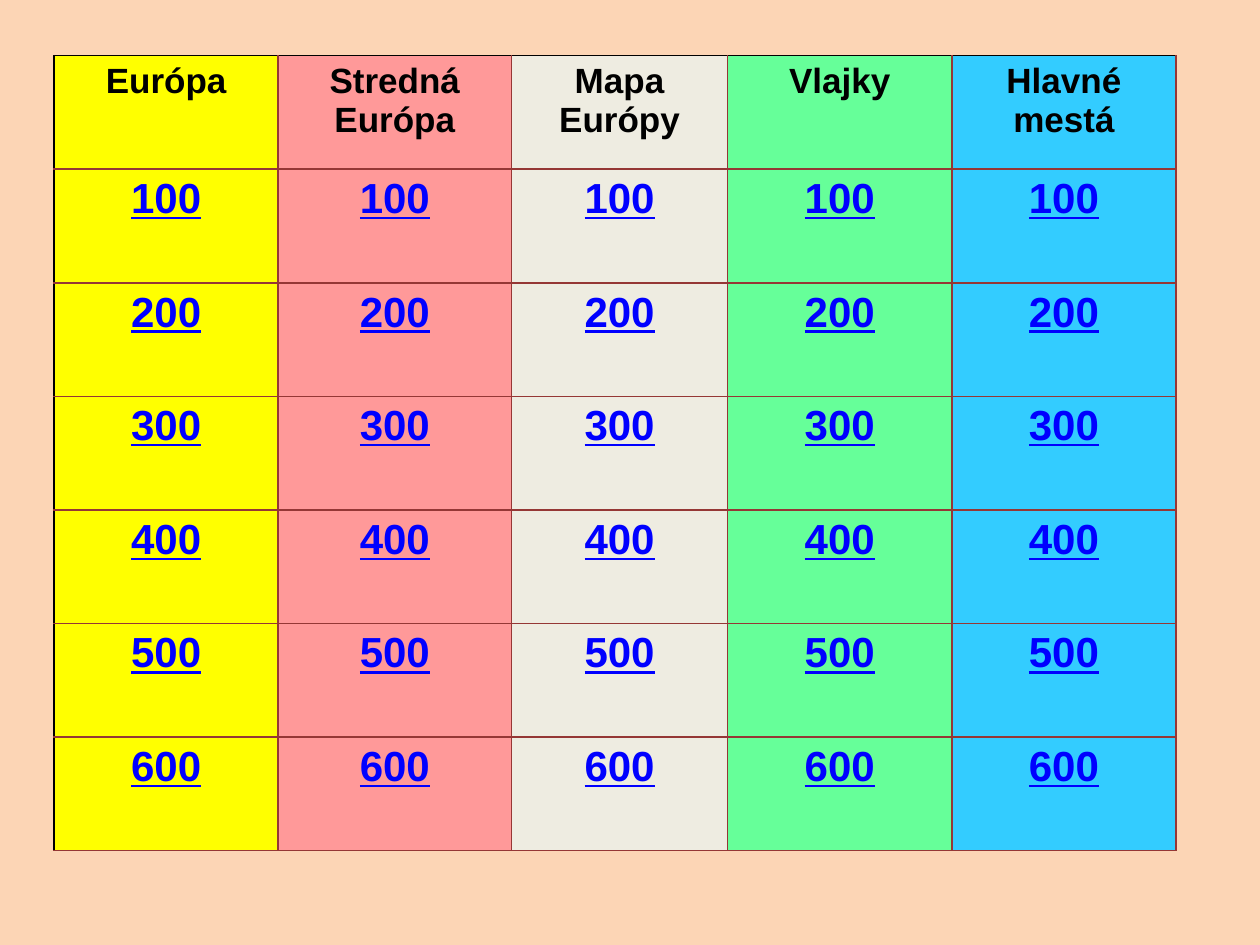
from dataclasses import dataclass

from lxml.etree import SubElement
from pptx import Presentation
from pptx.dml.color import RGBColor
from pptx.enum.text import PP_ALIGN
from pptx.oxml.ns import qn
from pptx.util import Cm, Pt


@dataclass(frozen=True)
class Theme:
    font: str = "Arial"
    background: str = "FCD5B5"
    heading: str = "000000"
    points: str = "0000FF"
    outer_border: str = "000000"
    inner_border: str = "953735"
    heading_size: int = 20
    points_size: int = 24
    border_width: int = 1


THEME = Theme()

# Category name, column fill, column width in centimetres
CATEGORIES = [
    ("Európa", "FFFF00", 4.52),
    ("Stredná Európa", "FF9999", 4.7),
    ("Mapa Európy", "EEECE1", 4.36),
    ("Vlajky", "66FF99", 4.52),
    ("Hlavné mestá", "33CCFF", 4.52),
]
POINTS = range(100, 700, 100)
ROW_HEIGHT = 2.29


def set_background(slide):
    fill = slide.background.fill
    fill.solid()
    fill.fore_color.rgb = RGBColor.from_string(THEME.background)


def set_borders(cell, row, column):
    """Draw the left and top edges of the board black, all others brown."""
    outer, inner = THEME.outer_border, THEME.inner_border
    colors = {
        "a:lnL": outer if column == 0 else inner,
        "a:lnR": inner,
        "a:lnT": outer if row == 0 else inner,
        "a:lnB": inner,
    }
    properties = cell._tc.get_or_add_tcPr()
    for tag, color in colors.items():
        line = SubElement(properties, qn(tag), w=str(Pt(THEME.border_width)))
        solid_fill = SubElement(line, qn("a:solidFill"))
        SubElement(solid_fill, qn("a:srgbClr"), val=color)


def fill_cell(cell, text, color):
    cell.fill.solid()
    cell.fill.fore_color.rgb = RGBColor.from_string(color)
    cell.text_frame.text = text


def format_cell_text(cell, is_heading):
    paragraph = cell.text_frame.paragraphs[0]
    paragraph.alignment = PP_ALIGN.CENTER
    font = paragraph.runs[0].font
    font.name = THEME.font
    font.bold = True
    font.underline = not is_heading
    font.size = Pt(THEME.heading_size if is_heading else THEME.points_size)
    font.color.rgb = RGBColor.from_string(
        THEME.heading if is_heading else THEME.points)


def add_quiz_board(slide):
    row_count = len(POINTS) + 1
    board_width = sum(width for _, _, width in CATEGORIES)
    table = slide.shapes.add_table(
        row_count, len(CATEGORIES), Cm(1.09), Cm(1.12),
        Cm(board_width), Cm(ROW_HEIGHT * row_count)).table
    for table_row in table.rows:
        table_row.height = Cm(ROW_HEIGHT)

    # Each column holds a category heading above its point values
    for column, (name, color, width) in enumerate(CATEGORIES):
        table.columns[column].width = Cm(width)
        for row, text in enumerate([name, *map(str, POINTS)]):
            cell = table.cell(row, column)
            set_borders(cell, row, column)
            fill_cell(cell, text, color)
            format_cell_text(cell, is_heading=row == 0)


def main():
    presentation = Presentation()
    presentation.slide_width = Cm(25.4)
    presentation.slide_height = Cm(19.05)

    # Blank layout: the board is the only content
    slide = presentation.slides.add_slide(presentation.slide_layouts[6])
    set_background(slide)
    add_quiz_board(slide)
    presentation.save("out.pptx")


if __name__ == "__main__":
    main()
